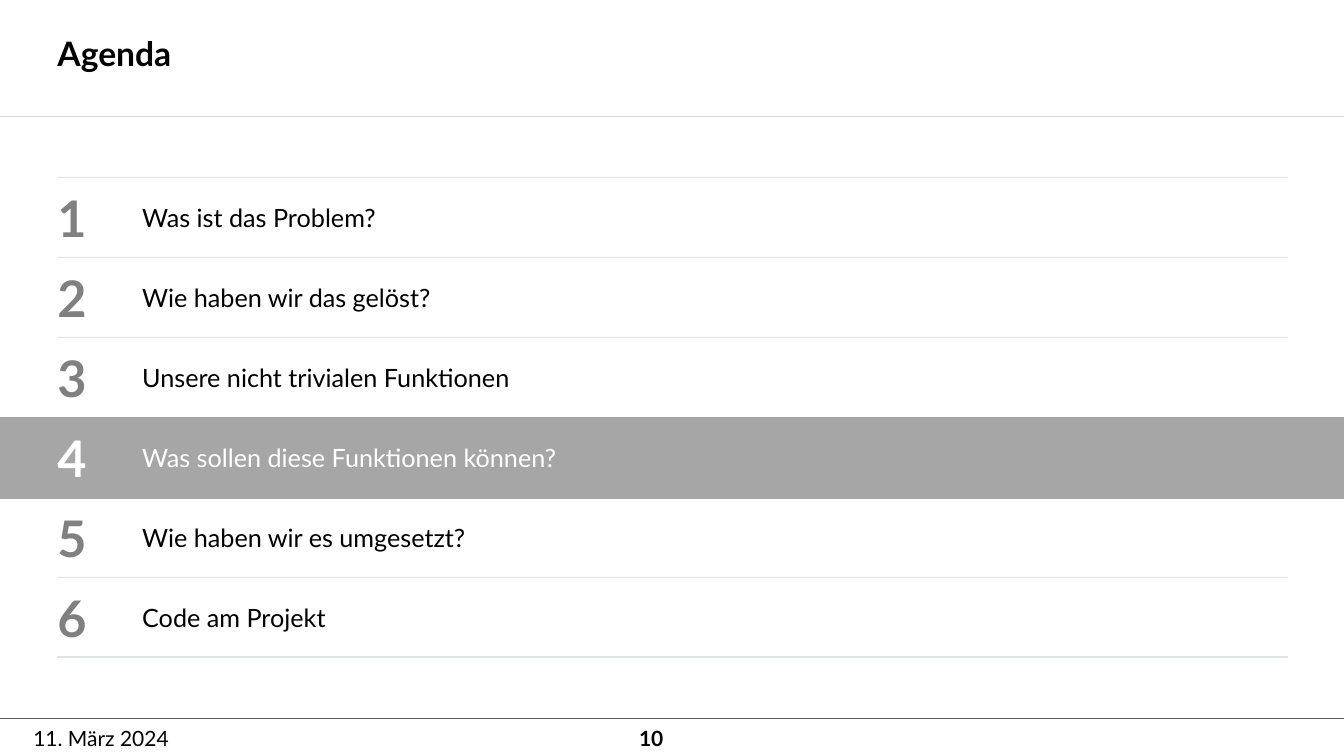
from lxml import etree
from pptx import Presentation
from pptx.dml.color import RGBColor as RGB
from pptx.enum.shapes import MSO_CONNECTOR as CONN, MSO_SHAPE as SHAPE
from pptx.enum.text import MSO_ANCHOR as ANCHOR, MSO_AUTO_SIZE as FIT, PP_ALIGN as ALIGN
from pptx.oxml.ns import qn
from pptx.util import Inches, Pt

COLORS = {"text": "000000", "number": "808080", "white": "FFFFFF", "band": "A6A6A6",
          "rule": "DCE3E9", "header": "D6D6D6", "footer": "595959"}
FONT = "Lato"
WIDTH, HEIGHT = 13.33, 7.5

# Agenda grid, in inches
LEFT, RIGHT, LABEL_X = 0.57, 12.77, 1.41
TOP, ROW = 1.76, 0.793
TEXT_H = 0.61
TOPICS = ["Was ist das Problem?", "Wie haben wir das gelöst?",
          "Unsere nicht trivialen Funktionen", "Was sollen diese Funktionen können?",
          "Wie haben wir es umgesetzt?", "Code am Projekt"]
ACTIVE = 3


def color(name):
    return RGB.from_string(COLORS[name])


def write(sp, text, size, name="text", bold=False, wrap=False,
          anchor=ANCHOR.TOP, align=ALIGN.LEFT):
    tf = sp.text_frame
    frame = {"margin_left": 0, "margin_right": 0, "margin_top": 0, "margin_bottom": 0,
             "word_wrap": wrap, "auto_size": FIT.NONE, "vertical_anchor": anchor}
    for key, value in frame.items():
        setattr(tf, key, value)
    p = tf.paragraphs[0]
    p.alignment = align
    r = p.add_run()
    r.text = text
    for key, value in {"name": FONT, "size": Pt(size), "bold": bold}.items():
        setattr(r.font, key, value)
    r.font.color.rgb = color(name)


def add_text(slide, x, y, w, h, text, size, **style):
    sp = slide.shapes.add_textbox(*map(Inches, (x, y, w, h)))
    write(sp, text, size, **style)


def add_rule(slide, x1, x2, y, name, width):
    line = slide.shapes.add_connector(CONN.STRAIGHT, *map(Inches, (x1, y, x2, y)))
    line.line.color.rgb = color(name)
    line.line.width = Pt(width)
    etree.SubElement(line._element.spPr, qn("a:effectLst"))


def add_band(slide, y, h):
    sp = slide.shapes.add_shape(SHAPE.RECTANGLE, *map(Inches, (0, y, WIDTH, h)))
    sp.shadow.inherit = False
    sp.fill.solid()
    sp.fill.fore_color.rgb = color("band")
    sp.line.fill.background()


def add_title(slide, text):
    sp = slide.shapes.title
    box = {"left": LEFT, "top": 0.33, "width": 9.98, "height": 0.4}
    for key, value in box.items():
        setattr(sp, key, Inches(value))
    write(sp, text, 24, bold=True, wrap=True)


def add_topic(slide, i, topic):
    y = TOP + i * ROW + (ROW - TEXT_H) / 2
    active = i == ACTIVE
    add_text(slide, LEFT, y, 0.64, TEXT_H, str(i + 1), 36, bold=True,
             name="white" if active else "number", anchor=ANCHOR.MIDDLE)
    add_text(slide, LABEL_X, y, 3.95, TEXT_H, topic, 18,
             name="white" if active else "text", anchor=ANCHOR.MIDDLE)


def main():
    prs = Presentation()
    prs.slide_width, prs.slide_height = Inches(WIDTH), Inches(HEIGHT)
    slide = prs.slides.add_slide(prs.slide_layouts[5])

    # Header and footer
    add_rule(slide, 0, WIDTH, 7.13, "footer", 0.5)
    add_rule(slide, 0, WIDTH, 1.15, "header", 0.5)
    add_title(slide, "Agenda")
    add_text(slide, 0.33, 7.2, 1.19, 0.25, "11. März 2024", 15)
    add_text(slide, 6.16, 7.2, 0.42, 0.25, "10", 15, bold=True, align=ALIGN.RIGHT)

    # Row rules; the band replaces the one above the active topic
    for i in range(len(TOPICS) + 1):
        if i != ACTIVE:
            add_rule(slide, LEFT, RIGHT, TOP + i * ROW, "rule", 0.75)
    add_band(slide, TOP + ACTIVE * ROW, 0.81)

    # Topics
    for i, topic in enumerate(TOPICS):
        add_topic(slide, i, topic)

    prs.save("out.pptx")


if __name__ == "__main__":
    main()
